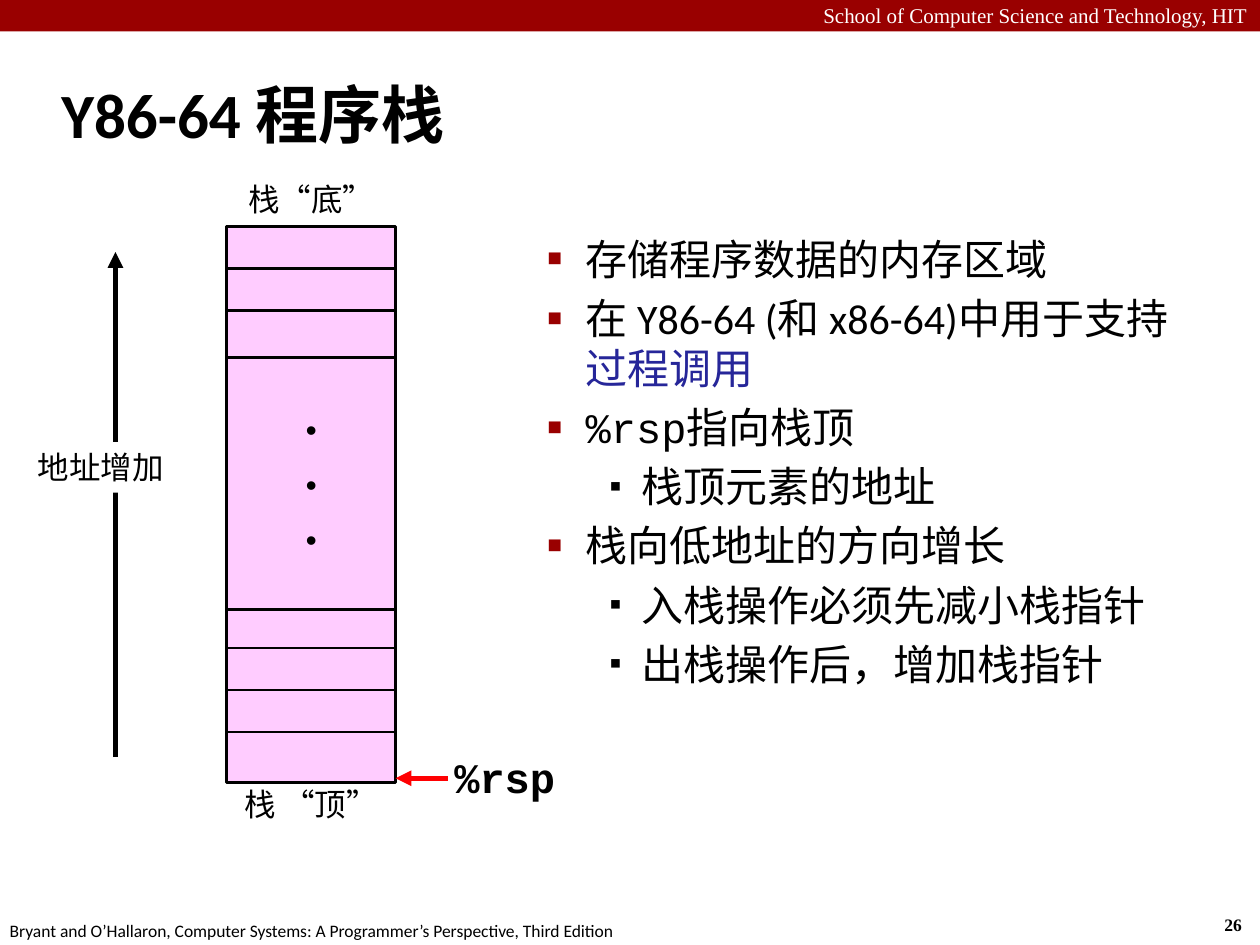
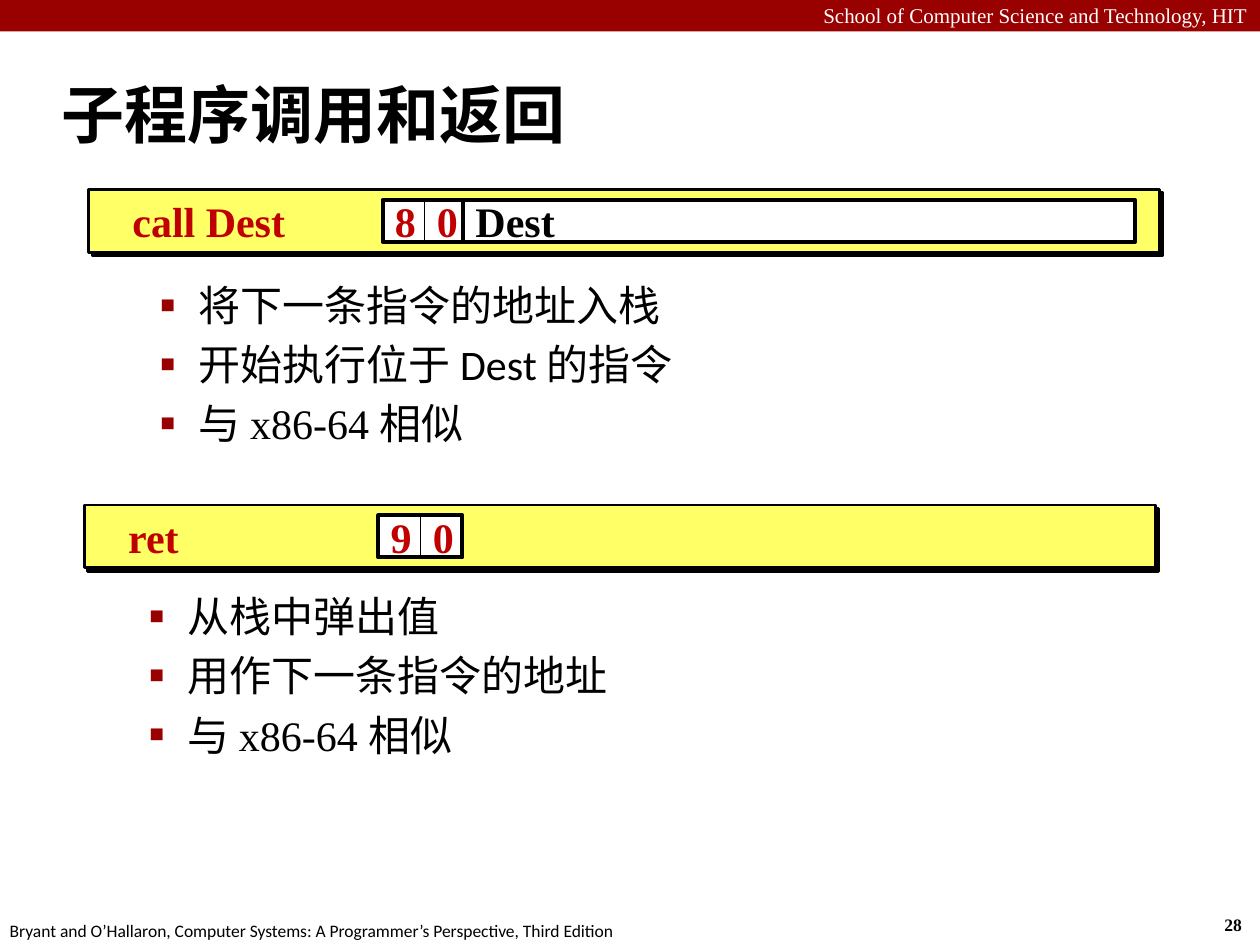
from lxml import etree
from pptx import Presentation
from pptx.dml.color import RGBColor
from pptx.enum import shapes, text
from pptx.oxml import ns
from pptx.util import Pt

SANS, SERIF, MONO, NARROW = "Calibri", "Times New Roman", "Courier New", "Arial Narrow"
BLACK, WHITE, CRIMSON, RED = "000000", "FFFFFF", "990000", "C00000"
PINK, YELLOW, BLUE, ARROW_RED = "FFCCFF", "FFFF66", "262699", "FF0002"
LEFT, CENTER, RIGHT = text.PP_ALIGN.LEFT, text.PP_ALIGN.CENTER, text.PP_ALIGN.RIGHT
TOP, MIDDLE = text.MSO_ANCHOR.TOP, text.MSO_ANCHOR.MIDDLE
NORMAL, TIGHT, CELL = (7.2, 3.6), (3.6, 3.6), 24

# level: left margin, hanging indent, bullet size in percent, bullet colour
BULLETS = {1: (58.3, -22.3, 110, CRIMSON), 2: (90, -18, 80, BLACK)}


def color(hex_code):
    return RGBColor.from_string(hex_code)


def add_xml(parent, tag, **attrs):
    return etree.SubElement(parent, ns.qn(tag), attrs)


def format_run(r, font, size, hex_code, bold=False):
    r.font.name, r.font.size, r.font.bold = font, Pt(size), bold
    r.font.color.rgb = color(hex_code)


def set_text(s, content, font, size, hex_code=BLACK, bold=False, align=LEFT,
             anchor=TOP, inset=NORMAL, wrap=True, gap=0):
    """Fill a shape with uniformly formatted paragraphs, gap points apart."""
    tf = s.text_frame
    tf.text = content
    tf.word_wrap, tf.vertical_anchor = wrap, anchor
    tf.margin_left = tf.margin_right = Pt(inset[0])
    tf.margin_top = tf.margin_bottom = Pt(inset[1])
    for i, p in enumerate(tf.paragraphs):
        p.alignment = align
        p.space_before = Pt(gap if i else 0)
        for r in p.runs:
            format_run(r, font, size, hex_code, bold)


def add_label(slide, box, content, font, size, **style):
    s = slide.shapes.add_textbox(*map(Pt, box))
    set_text(s, content, font, size, **style)
    return s


def add_box(slide, box, fill=None, line=None, width=1.5):
    s = slide.shapes.add_shape(shapes.MSO_SHAPE.RECTANGLE, *map(Pt, box))
    s.shadow.inherit = False
    if fill:
        s.fill.solid()
        s.fill.fore_color.rgb = color(fill)
    else:
        s.fill.background()
    if line:
        s.line.color.rgb, s.line.width = color(line), Pt(width)
    else:
        s.line.fill.background()
    return s


def add_arrow(slide, x1, y1, x2, y2, hex_code):
    s = slide.shapes.add_connector(shapes.MSO_CONNECTOR.STRAIGHT, *map(Pt, (x1, y1, x2, y2)))
    s.line.color.rgb, s.line.width = color(hex_code), Pt(3)
    add_xml(s.line._get_or_add_ln(), "a:tailEnd", type="triangle")
    add_xml(s._element.spPr, "a:effectLst")


def add_bullets(slide, box, items):
    """Each item is a level followed by (text, font, colour) runs."""
    tf = slide.shapes.add_textbox(*map(Pt, box)).text_frame
    tf.word_wrap = True
    for i, (level, *runs) in enumerate(items):
        p = tf.add_paragraph() if i else tf.paragraphs[0]
        margin, indent, percent, bullet_color = BULLETS[level]
        p.space_before = Pt(5 if i else 0)
        pPr = p._p.get_or_add_pPr()
        pPr.set("marL", str(Pt(margin)))
        pPr.set("indent", str(Pt(indent)))
        add_xml(add_xml(pPr, "a:buClr"), "a:srgbClr", val=bullet_color)
        add_xml(pPr, "a:buSzPct", val=str(percent * 1000))
        add_xml(pPr, "a:buFont", typeface=SANS)
        add_xml(pPr, "a:buChar", char="▪")
        for content, font, hex_code in runs:
            r = p.add_run()
            r.text = content
            format_run(r, font, 24, hex_code)


def add_slide(prs, title, number):
    """Blank slide with the shared band, footer, page number and title."""
    slide = prs.slides.add_slide(prs.slide_layouts[6])
    add_box(slide, (0, 0, 720, 18), CRIMSON)
    add_label(slide, (0, -2, 720, 21.6), "School of Computer Science and Technology, HIT",
              SERIF, 12, hex_code=WHITE, align=RIGHT)
    add_label(slide, (692.6, 519, 26.6, 19.4), str(number), SERIF, 10, bold=True, wrap=False)
    add_label(slide, (-1.5, 522, 366, 19.4),
              "Bryant and O’Hallaron, Computer Systems: A Programmer’s Perspective, Third Edition",
              SANS, 10, wrap=False)
    add_label(slide, (28, 34.5, 692, 60), title, SANS, 36, bold=True, anchor=MIDDLE)
    return slide


def add_stack(slide):
    x, width = 129.6, 96.5
    for first_y, count in ((129.6, 3), (346.3, 4)):
        for i in range(count):
            add_box(slide, (x, first_y + i * CELL, width, 28.8), PINK, BLACK)
    middle = add_box(slide, (x, 204.5, width, 144), PINK, BLACK)
    set_text(middle, "•\n•\n•", MONO, 18, align=CENTER, anchor=MIDDLE, inset=TIGHT, gap=10)
    for y, content in ((445, "栈 “顶”"), (99.5, "栈“底”")):
        add_label(slide, (x, y, width, 28.8), content, NARROW, 18, align=CENTER, inset=TIGHT)


def add_instruction(slide, x, y, name, code, operand=None):
    """Shadowed band with an instruction name and its encoding cells."""
    band = add_box(slide, (x, y, 612, 36), YELLOW, BLACK)
    effects = band._element.spPr.find(ns.qn("a:effectLst"))
    shadow = add_xml(effects, "a:outerShdw", dist=str(Pt(2.8)), dir="2700000",
                     algn="ctr", rotWithShape="0")
    add_xml(shadow, "a:srgbClr", val=BLACK)
    style = dict(font=SERIF, size=24, bold=True, anchor=MIDDLE, wrap=False)
    cell_x, cell_y = x + 168, y + 6
    add_label(slide, (x + 18, cell_y, 150, CELL), name, hex_code=RED, **style)
    for i, digit in enumerate(code):
        cell = add_box(slide, (cell_x + i * CELL, cell_y, CELL, CELL), WHITE, BLACK, 0.5)
        set_text(cell, digit, hex_code=RED, **style)
    add_box(slide, (cell_x, cell_y, 2 * CELL, CELL), None, BLACK, 2.25)
    if operand:
        s = add_box(slide, (x + 214, cell_y, 384, CELL), WHITE, BLACK, 2.25)
        set_text(s, operand, **style)


def build_stack_slide(prs):
    slide = add_slide(prs, "Y86-64 程序栈", 26)
    add_bullets(slide, (269.3, 129.6, 428.4, 286), [
        (1, ("存储程序数据的内存区域", SANS, BLACK)),
        (1, ("在 Y86-64 (和 x86-64)中用于支持", SANS, BLACK), ("过程调用", SANS, BLUE)),
        (1, ("%rsp指向栈顶", MONO, BLACK)),
        (2, ("栈顶元素的地址", SANS, BLACK)),
        (1, ("栈向低地址的方向增长", SANS, BLACK)),
        (2, ("入栈操作必须先减小栈指针", SANS, BLACK)),
        (2, ("出栈操作后，增加栈指针", SANS, BLACK)),
    ])
    add_stack(slide)
    add_arrow(slide, 256, 444.7, 226.1, 444.7, ARROW_RED)
    add_label(slide, (256, 426.2, 65.5, 36), "%rsp", MONO, 24, bold=True, inset=TIGHT, wrap=False)
    add_arrow(slide, 66, 432.7, 66, 144, BLACK)
    address = add_box(slide, (18, 252.7, 108, 28.8), WHITE)
    set_text(address, "地址增加", NARROW, 18, inset=TIGHT)


def build_call_slide(prs):
    slide = add_slide(prs, "子程序调用和返回", 28)
    similar = (1, ("与 x86-64 相似", SERIF, BLACK))
    add_instruction(slide, 50.6, 108.2, "call Dest", "80", "Dest")
    add_bullets(slide, (48.2, 156.2, 607, 122.4), [
        (1, ("将下一条指令的地址入栈", SANS, BLACK)),
        (1, ("开始执行位于 Dest 的指令", SANS, BLACK)),
        similar,
    ])
    add_instruction(slide, 48.2, 288.5, "ret", "90")
    add_bullets(slide, (41.8, 334.1, 607, 122.4), [
        (1, ("从栈中弹出值", SANS, BLACK)),
        (1, ("用作下一条指令的地址", SANS, BLACK)),
        similar,
    ])


def main():
    prs = Presentation()
    prs.slide_width, prs.slide_height = Pt(720), Pt(540)
    build_stack_slide(prs)
    build_call_slide(prs)
    prs.save("out.pptx")


if __name__ == "__main__":
    main()
